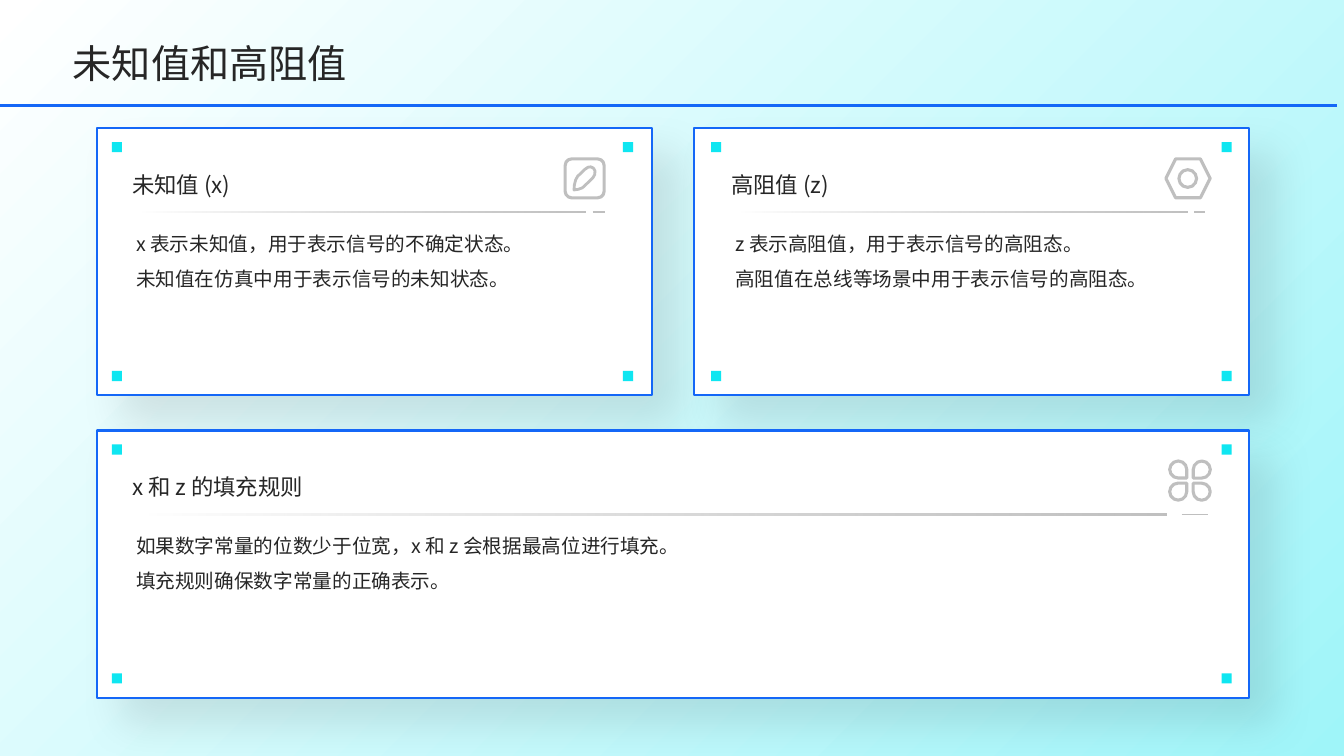
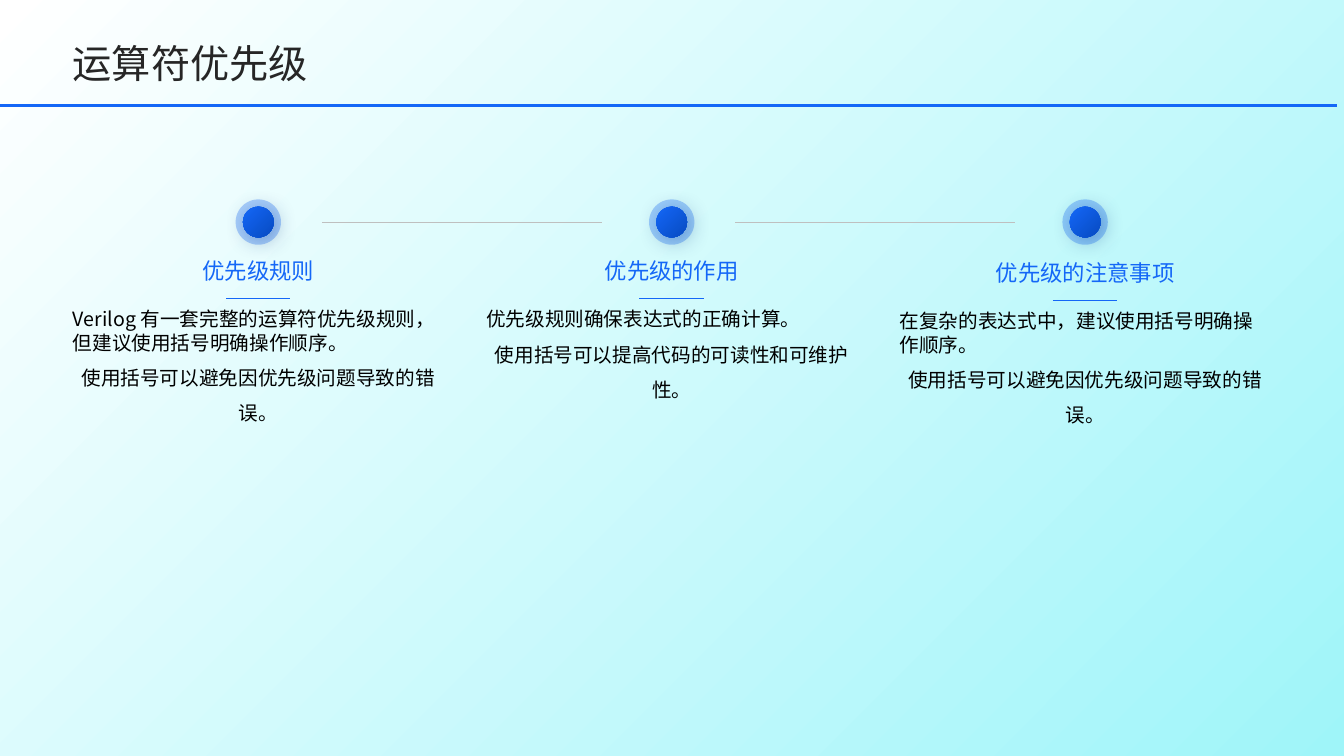
import pptx
import pptx.util
import pptx.dml.color
import pptx.enum.shapes
import pptx.enum.text
import pptx.oxml
import pptx.oxml.ns
import lxml.etree

Pt = pptx.util.Pt
RGB = pptx.dml.color.RGBColor.from_string
KIND = pptx.enum.shapes.MSO_SHAPE
ALIGN = pptx.enum.text.PP_ALIGN
ANCHOR = pptx.enum.text.MSO_ANCHOR
qn = pptx.oxml.ns.qn

# Theme: colours, type and shadows
theme = {
    "font": "Noto Sans CJK SC",
    "blue": "1467F7", "deep": "074BC2", "cyan": "0FE6F1",
    "ink": "262626", "black": "000000", "white": "FFFFFF",
    "sky": "9FF5F9", "gray": "BFBFBF", "dark": "595959", "mid": "808080",
    "title": 28, "head": 16, "body": 14,
    # colour, opacity in percent, blur, distance, angle
    "card": ("000000", 10, 30, 25, 45),
    "dot": ("043281", 40, 16, 3, 45),
}


def style(shape, fill=None, line=None, alpha=(), shade=None, angle=315):
    """Set fill (one colour or a gradient pair), line, opacity and shadow."""
    part = shape._element.spPr
    if isinstance(fill, tuple):
        shape.fill.gradient()
        shape.fill.gradient_angle = angle
        for stop, tone in zip(shape.fill.gradient_stops, fill):
            stop.color.rgb = RGB(tone)
    elif fill:
        shape.fill.solid()
        shape.fill.fore_color.rgb = RGB(fill)
    elif hasattr(shape, "fill"):
        shape.fill.background()
    for tone, part_alpha in zip(part.iter(qn("a:srgbClr")), alpha):
        lxml.etree.SubElement(tone, qn("a:alpha"), val=str(part_alpha * 1000))
    if line:
        shape.line.color.rgb = RGB(line[0])
        shape.line.width = Pt(line[1])
    else:
        shape.line.fill.background()
    effect = lxml.etree.SubElement(part, qn("a:effectLst"))
    if shade:
        tone, clear, blur, dist, turn = shade
        outer = lxml.etree.SubElement(
            effect, qn("a:outerShdw"), blurRad=str(Pt(blur)), dist=str(Pt(dist)),
            dir=str(turn * 60000), algn="tl", rotWithShape="0")
        tint = lxml.etree.SubElement(outer, qn("a:srgbClr"), val=tone)
        lxml.etree.SubElement(tint, qn("a:alpha"), val=str(clear * 1000))


def write(box, size, tone, *paras, anchor=ANCHOR.TOP):
    """Fill a text box; each paragraph is (text, format values)."""
    frame = box.text_frame
    look = {"word_wrap": True, "vertical_anchor": anchor,
            "auto_size": pptx.enum.text.MSO_AUTO_SIZE.NONE,
            "margin_left": 0, "margin_top": 0,
            "margin_right": 0, "margin_bottom": 0}
    for name, value in look.items():
        setattr(frame, name, value)
    for rank, (words, form) in enumerate(paras):
        para = frame.add_paragraph() if rank else frame.paragraphs[0]
        for name, value in form.items():
            setattr(para, name, value)
        run = para.add_run()
        run.text = words
        for name, value in {"name": theme["font"], "size": Pt(size)}.items():
            setattr(run.font, name, value)
        run.font.color.rgb = RGB(tone)
        lxml.etree.SubElement(run._r.get_or_add_rPr(), qn("a:ea"),
                              typeface=theme["font"])


deck = pptx.Presentation()
deck.slide_width, deck.slide_height = Pt(960), Pt(540)

# Shared background
back = deck.slide_master.background.fill
back.gradient()
back.gradient_angle = 315
for stop, tone in zip(back.gradient_stops, (theme["white"], theme["sky"])):
    stop.color.rgb = RGB(tone)

# Titles and header rules; strokes are (page, left, right, y, colour, width)
pages, strokes = [], []
for words in ("未知值和高阻值", "运算符优先级"):
    page = deck.slides.add_slide(deck.slide_layouts[5])
    title = page.shapes.title
    spot = {"left": 52, "top": 25, "width": 840, "height": 37}
    for name, value in spot.items():
        setattr(title, name, Pt(value))
    write(title, theme["title"], theme["ink"],
          (words, {"line_spacing": 1.1, "alignment": ALIGN.LEFT}),
          anchor=ANCHOR.MIDDLE)
    strokes.append((page, 0, 955, 75.6, theme["blue"], 2.25))
    pages.append(page)

# Slide 1: cards as (left, top, width, first and last corner mark,
# rule end, dash start, dash end, heading, lines)
first, second = pages
cards = [
    (69, 91.5, 397, 80, 445, 418.5, 423.5, 432, "未知值 (x)",
     ("x 表示未知值，用于表示信号的不确定状态。",
      "未知值在仿真中用于表示信号的未知状态。")),
    (495.5, 91.5, 397, 508, 872.6, 848, 853, 861, "高阻值 (z)",
     ("z 表示高阻值，用于表示信号的高阻态。",
      "高阻值在总线等场景中用于表示信号的高阻态。")),
    (69, 307.5, 823, 80, 872.6, 833, 844, 863, "x 和 z 的填充规则",
     ("如果数字常量的位数少于位宽，x 和 z 会根据最高位进行填充。",
      "填充规则确保数字常量的正确表示。")),
]
mark = 7.2
loose = {"line_spacing": 1.5}
for left, top, wide, near, far, end, dash, tip, head, lines in cards:
    card = first.shapes.add_shape(KIND.RECTANGLE, *map(Pt, (left, top, wide, 191)))
    style(card, theme["white"], (theme["blue"], 1.5), shade=theme["card"])
    for x in (near, far):
        for y in (top + 10, top + 173.5):
            dot = first.shapes.add_shape(KIND.RECTANGLE, *map(Pt, (x, y, mark, mark)))
            style(dot, theme["cyan"])
    box = first.shapes.add_textbox(*map(Pt, (near + 14.4, top + 2, far - near - 56, 48)))
    write(box, theme["head"], theme["ink"], (head, loose), anchor=ANCHOR.BOTTOM)
    box = first.shapes.add_textbox(*map(Pt, (near + 17.2, top + 65.5, far - near - 17, 99)))
    write(box, theme["body"], theme["ink"], *((words, loose) for words in lines))
    start = near + 18
    rule = first.shapes.add_shape(KIND.RECTANGLE, *map(Pt, (start, top + 59.5, end - start, 1)))
    style(rule, (theme["dark"], theme["mid"]), alpha=(0, 50), angle=0)
    strokes.append((first, dash, tip, top + 60, theme["gray"], 1))

# Card icons: (shape, left, top, width, height, turn)
icons = [
    (KIND.ROUNDED_RECTANGLE, 403.7, 113.5, 27.8, 27.8, 0),
    (KIND.HEXAGON, 832.8, 113.5, 31.6, 27.8, 0),
    (KIND.OVAL, 842.1, 121.2, 12.6, 12.6, 0),
]
for x, y, turn in ((0, 0, 90), (16.8, 0, 180), (0, 15.8, 0), (16.8, 15.8, 270)):
    icons.append((KIND.TEAR, 835.5 + x, 329.3 + y, 12.2, 12.2, turn))
for kind, left, top, wide, high, turn in icons:
    icon = first.shapes.add_shape(kind, *map(Pt, (left, top, wide, high)))
    icon.rotation = turn
    style(icon, line=(theme["gray"], 2.2))

# Pen outline inside the first icon
pen = [(410, 135.7), (410.3, 132), (411.2, 128.5), (412.6, 126), (417.8, 121),
       (420, 119.5), (422, 119.2), (424, 120.2), (425, 122.2), (424.8, 124.8),
       (423.5, 127), (418.6, 131.8), (416, 134.2), (413, 135.3)]
trace = first.shapes.build_freeform(*pen[0], scale=float(Pt(1)))
grid = [(round(x * 100), round(y * 100)) for x, y in pen]
trace = first.shapes.build_freeform(*grid[0], scale=Pt(1) / 100)
trace.add_line_segments(grid[1:], close=True)
style(trace.convert_to_shape(), line=(theme["gray"], 2))

# Slide 2: three steps in equal columns; drop lowers the text of a step
steps = [
    ("优先级规则", 0, "Verilog 有一套完整的运算符优先级规则，但建议使用括号明确操作顺序。",
     "使用括号可以避免因优先级问题导致的错误。"),
    ("优先级的作用", 0, "优先级规则确保表达式的正确计算。",
     "使用括号可以提高代码的可读性和可维护性。"),
    ("优先级的注意事项", 1.4, "在复杂的表达式中，建议使用括号明确操作顺序。",
     "使用括号可以避免因优先级问题导致的错误。"),
]
wide, pitch, level = 265, 295.3, 158.6
for rank, (head, drop, lead, rest) in enumerate(steps):
    left = 52 + rank * pitch
    axis = left + wide / 2
    for size, fill, alpha, shade in (
            (32.4, theme["blue"], (31,), None),
            (22, (theme["blue"], theme["deep"]), (), theme["dot"])):
        spot = (axis - size / 2, level - size / 2, size, size)
        ring = second.shapes.add_shape(KIND.OVAL, *map(Pt, spot))
        style(ring, fill, alpha=alpha, shade=shade)
    box = second.shapes.add_textbox(*map(Pt, (left, 179.3 + drop, wide, 26.6)))
    write(box, theme["head"], theme["blue"],
          (head, {"line_spacing": 1.1, "alignment": ALIGN.CENTER}),
          anchor=ANCHOR.MIDDLE)
    box = second.shapes.add_textbox(*map(Pt, (left, 219.5 + drop, wide, 224)))
    write(box, theme["body"], theme["black"],
          (lead, {"line_spacing": 1.0, "alignment": ALIGN.LEFT}),
          (rest, {"line_spacing": 1.5, "alignment": ALIGN.CENTER}))
    strokes.append((second, axis - 23, axis + 23, 213.2 + drop, theme["blue"], 0.5))
    if rank < len(steps) - 1:
        strokes.append((second, left + 178, left + 378, level, theme["gray"], 0.5))

# All straight lines
for page, start, end, y, tone, width in strokes:
    line = page.shapes.add_connector(
        pptx.enum.shapes.MSO_CONNECTOR.STRAIGHT, *map(Pt, (start, y, end, y)))
    style(line, line=(tone, width))

deck.save("out.pptx")
